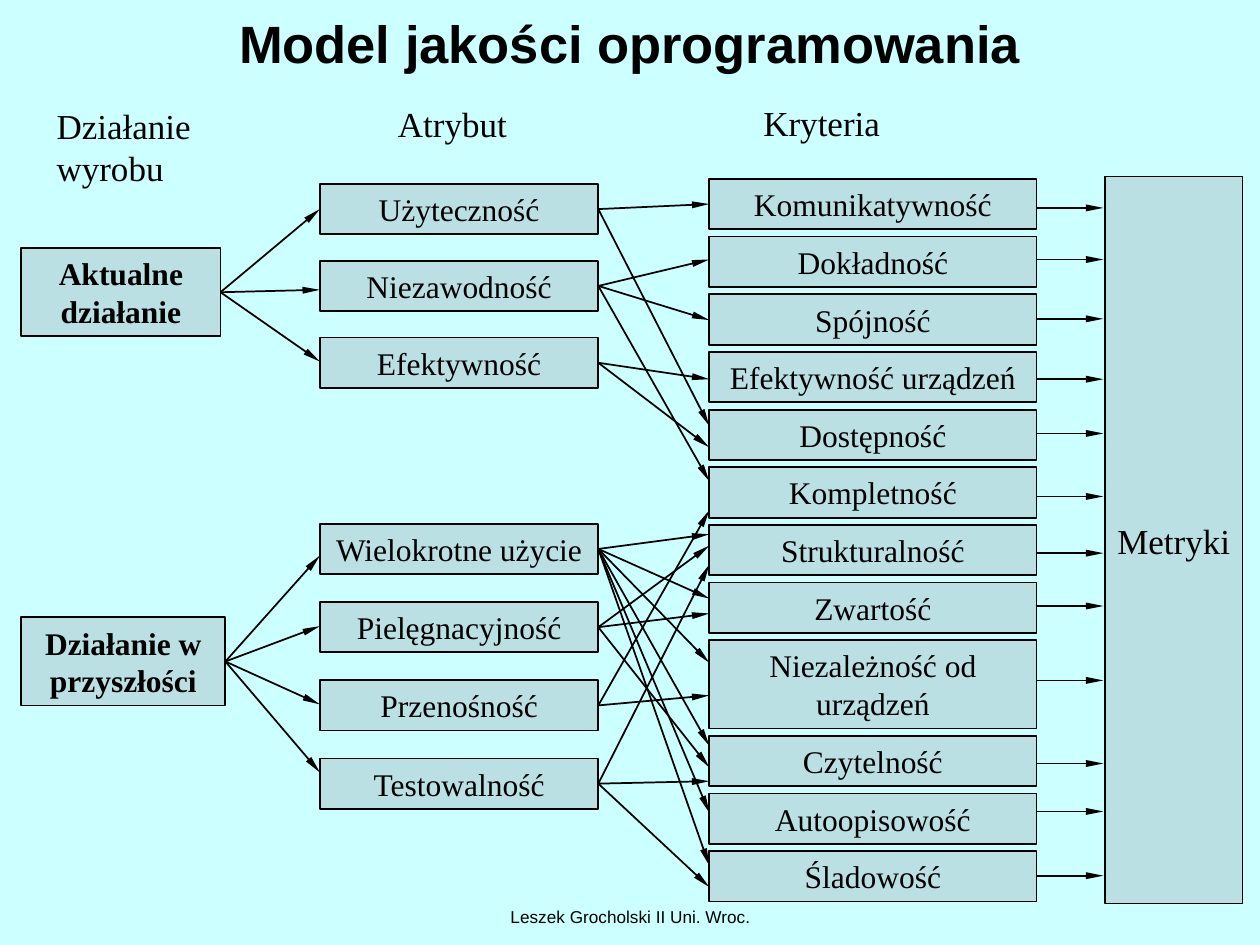
"""Build the software quality model slide."""
from lxml import etree
from pptx import Presentation
from pptx.dml.color import RGBColor
from pptx.enum.shapes import MSO_CONNECTOR, MSO_SHAPE
from pptx.enum.text import MSO_ANCHOR, PP_ALIGN
from pptx.oxml.ns import qn
from pptx.util import Pt

LEFT, CENTER = PP_ALIGN.LEFT, PP_ALIGN.CENTER
TOP, MIDDLE = MSO_ANCHOR.TOP, MSO_ANCHOR.MIDDLE
STRAIGHT, RECTANGLE = MSO_CONNECTOR.STRAIGHT, MSO_SHAPE.RECTANGLE
BLACK = RGBColor(0x00, 0x00, 0x00)
BACKGROUND = RGBColor(0xCC, 0xFF, 0xFF)
BOX_FILL = RGBColor(0xBB, 0xE0, 0xE3)
SERIF, SANS = "Times New Roman", "Arial"

TITLE = "Model jakości oprogramowania"
FOOTER = "Leszek Grocholski II Uni. Wroc."
HEADINGS = [
    ("Działanie\nwyrobu", 25.2, 56.2, 96, 55.4),
    ("Atrybut", 220.3, 55, 82, 31.7),
    ("Kryteria", 429.1, 54.3, 86, 31.7),
]
# name, top, width, heights where its arrows end
OPERATIONS = [
    ("Aktualne działanie", 141.8, 113.8, [119.5, 165.6, 206.6]),
    ("Działanie w przyszłości", 352.8, 116.6, [317.5, 357.8, 402.5, 441.4]),
]
# first top, pitch, attributes with the heights where their arrows end
ATTRIBUTE_GROUPS = [
    (105.1, 43.9, [
        ("Użyteczność", [116.6, 243.4]),
        ("Niezawodność", [148.3, 182.9, 275]),
        ("Efektywność", [216.7, 255.6]),
    ]),
    (299.3, 44.7, [
        ("Wielokrotne użycie", [305.3, 342, 378.7, 426.2, 464.4, 494.6]),
        ("Pielęgnacyjność", [311.8, 350.6, 438.5]),
        ("Przenośność", [291.6, 397.4]),
        ("Testowalność", [322.6, 446.4, 506.9]),
    ]),
]
# name, box height, height of its arrow to the metrics
ROW, TALL_ROW = 28.8, 50.4
CRITERIA = [
    ("Komunikatywność", ROW, 118.8),
    ("Dokładność", ROW, 148.3),
    ("Spójność", ROW, 182.2),
    ("Efektywność urządzeń", ROW, 216.7),
    ("Dostępność", ROW, 247.7),
    ("Kompletność", ROW, 283.7),
    ("Strukturalność", ROW, 316.1),
    ("Zwartość", ROW, 346.3),
    ("Niezależność od urządzeń", TALL_ROW, 388.8),
    ("Czytelność", ROW, 436.3),
    ("Autoopisowość", ROW, 463.7),
    ("Śladowość", ROW, 500.4),
]
OPERATION_LEFT, OPERATION_HEIGHT = 12.2, 50.4
ATTRIBUTE_LEFT, ATTRIBUTE_WIDTH = 182.8, 159.1
CRITERION_LEFT, CRITERION_WIDTH = 405.3, 187
CRITERIA_TOP, CRITERIA_GAP = 102.3, 4.15
METRICS = ("Metryki", 631.5, 100.8, 78.5, 415.6)


def write(shape, text, size=18, font=SERIF, bold=False, align=CENTER,
          anchor=TOP, wrap=True):
    """Put formatted text into a shape."""
    frame = shape.text_frame
    frame.text = text
    frame.word_wrap = wrap
    frame.vertical_anchor = anchor
    for para in frame.paragraphs:
        para.alignment = align
        para.font.size = Pt(size)
        para.font.name = font
        para.font.bold = bold
        para.font.color.rgb = BLACK


def add_label(page, text, left, top, width, height, **style):
    """Add a plain text box."""
    box = page.shapes.add_textbox(Pt(left), Pt(top), Pt(width), Pt(height))
    write(box, text, **style)


def add_box(page, text, left, top, width, height, **style):
    """Add a filled, outlined rectangle with text."""
    box = page.shapes.add_shape(
        RECTANGLE, Pt(left), Pt(top), Pt(width), Pt(height))
    box.shadow.inherit = False
    box.fill.solid()
    box.fill.fore_color.rgb = BOX_FILL
    box.line.color.rgb = BLACK
    box.line.width = Pt(1)
    write(box, text, **style)


def add_arrow(page, start_x, start_y, end_x, end_y):
    """Add a thin line with a slim arrowhead at its end."""
    arrow = page.shapes.add_connector(
        STRAIGHT, Pt(start_x), Pt(start_y), Pt(end_x), Pt(end_y))
    arrow.line.color.rgb = BLACK
    arrow.line.width = Pt(1)
    properties = arrow._element.spPr
    etree.SubElement(properties.get_or_add_ln(), qn("a:tailEnd"),
                     type="triangle", w="sm", len="lg")
    etree.SubElement(properties, qn("a:effectLst"))


def main():
    """Lay out the model and save the deck."""
    deck = Presentation()
    deck.slide_width, deck.slide_height = Pt(720), Pt(540)
    page = deck.slides.add_slide(deck.slide_layouts[5])
    page.background.fill.solid()
    page.background.fill.fore_color.rgb = BACKGROUND

    title = page.shapes.title
    title.left, title.top = Pt(19.8), Pt(0)
    title.width, title.height = Pt(680.4), Pt(49)
    write(title, TITLE, size=30, font=SANS, bold=True, anchor=MIDDLE)
    add_label(page, FOOTER, 246.2, 514.1, 228.2, 20.2, size=9.8, font=SANS)
    for text, *place in HEADINGS:
        add_label(page, text, *place, size=20, align=LEFT)

    arrows = []
    for name, top, width, ends in OPERATIONS:
        add_box(page, name, OPERATION_LEFT, top, width, OPERATION_HEIGHT,
                bold=True)
        arrows += [(OPERATION_LEFT + width, top + OPERATION_HEIGHT / 2,
                    ATTRIBUTE_LEFT, end) for end in ends]

    for first_top, pitch, attributes in ATTRIBUTE_GROUPS:
        for index, (name, ends) in enumerate(attributes):
            top = first_top + index * pitch
            add_box(page, name, ATTRIBUTE_LEFT, top, ATTRIBUTE_WIDTH, ROW)
            arrows += [(ATTRIBUTE_LEFT + ATTRIBUTE_WIDTH, top + ROW / 2,
                        CRITERION_LEFT, end) for end in ends]

    top = CRITERIA_TOP
    for name, height, level in CRITERIA:
        add_box(page, name, CRITERION_LEFT, top, CRITERION_WIDTH, height)
        arrows.append((CRITERION_LEFT + CRITERION_WIDTH, level,
                       METRICS[1] - 1, level))
        top += height + CRITERIA_GAP

    add_box(page, *METRICS, size=20, anchor=MIDDLE, wrap=False)
    for ends in arrows:
        add_arrow(page, *ends)
    deck.save("out.pptx")


if __name__ == "__main__":
    main()
